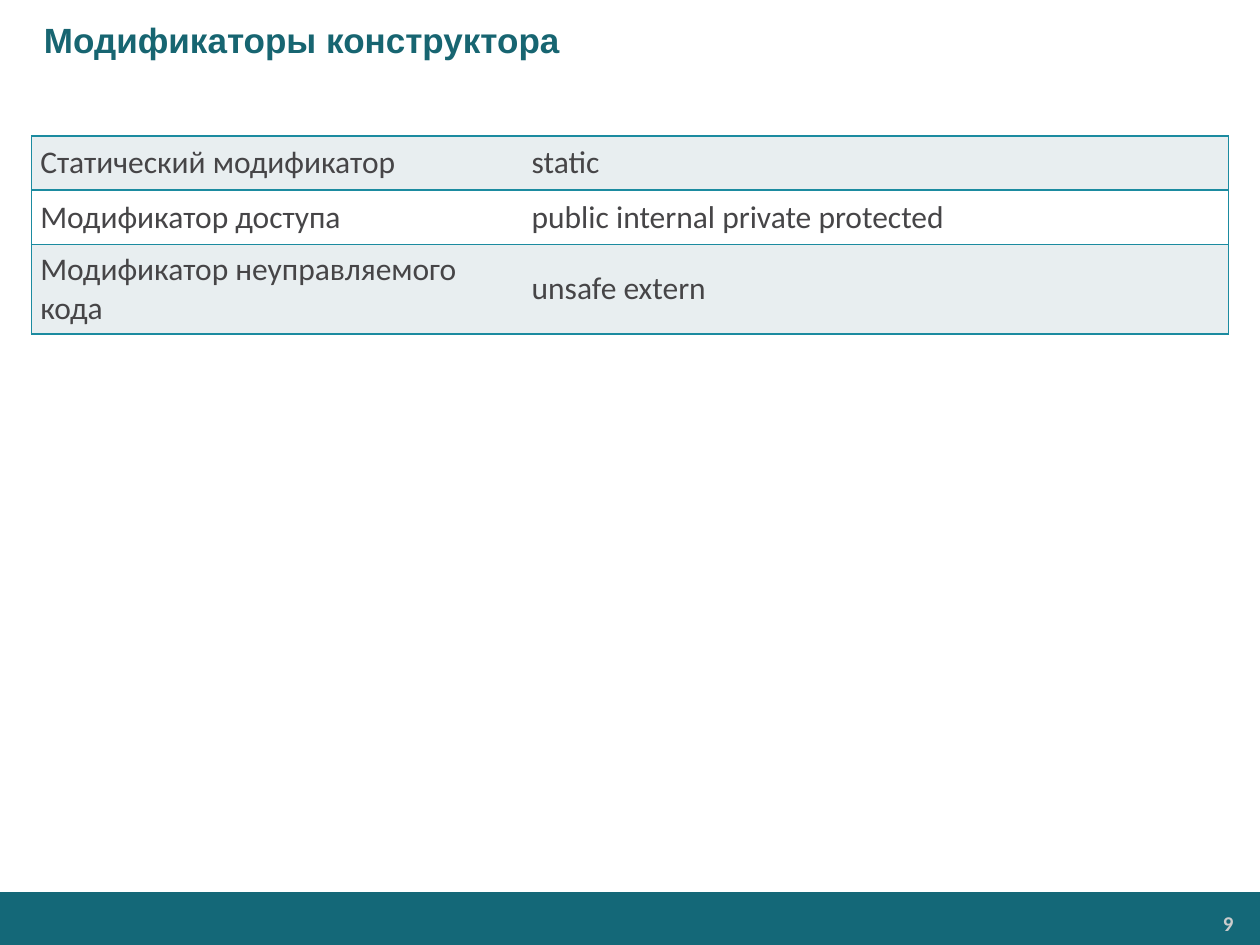
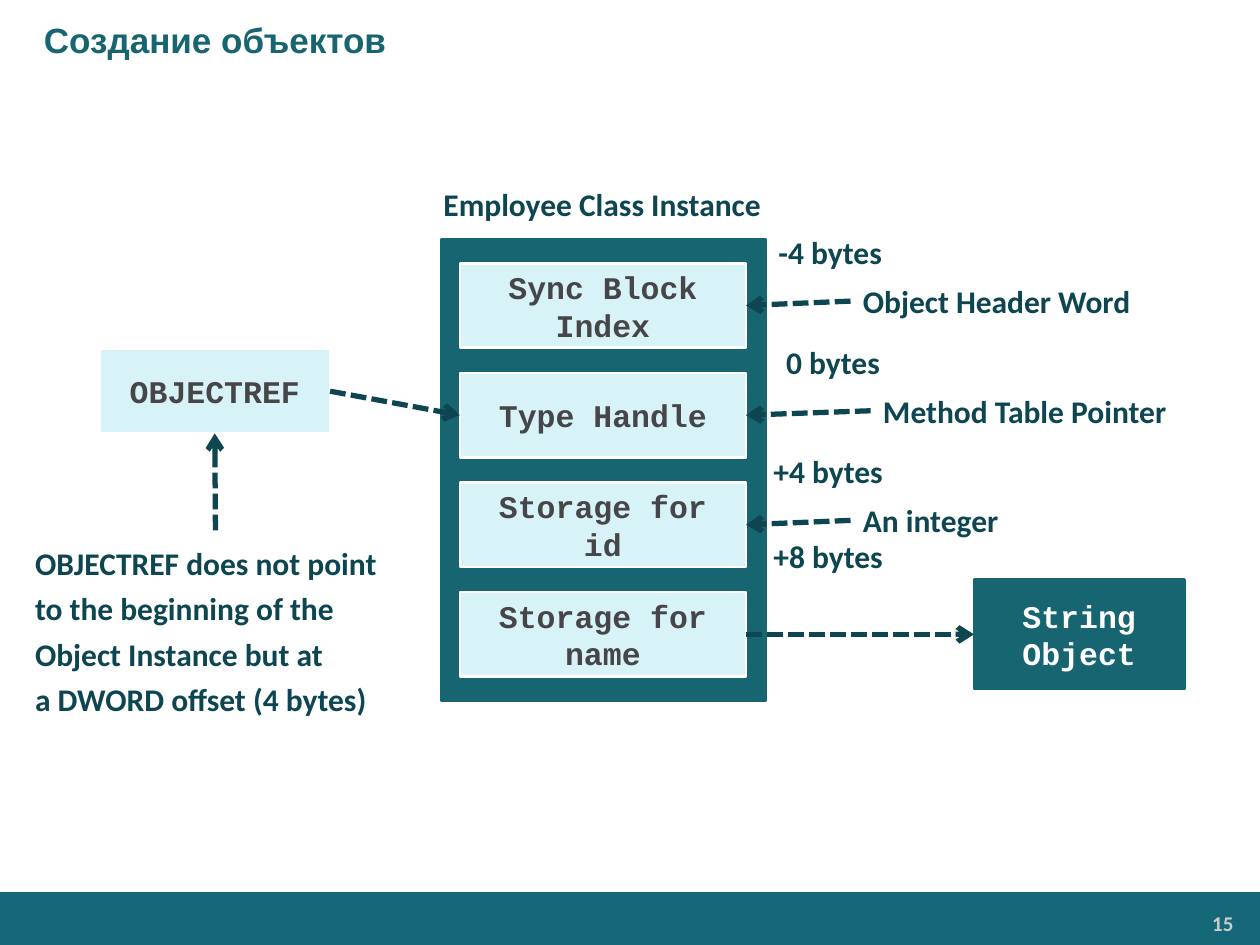
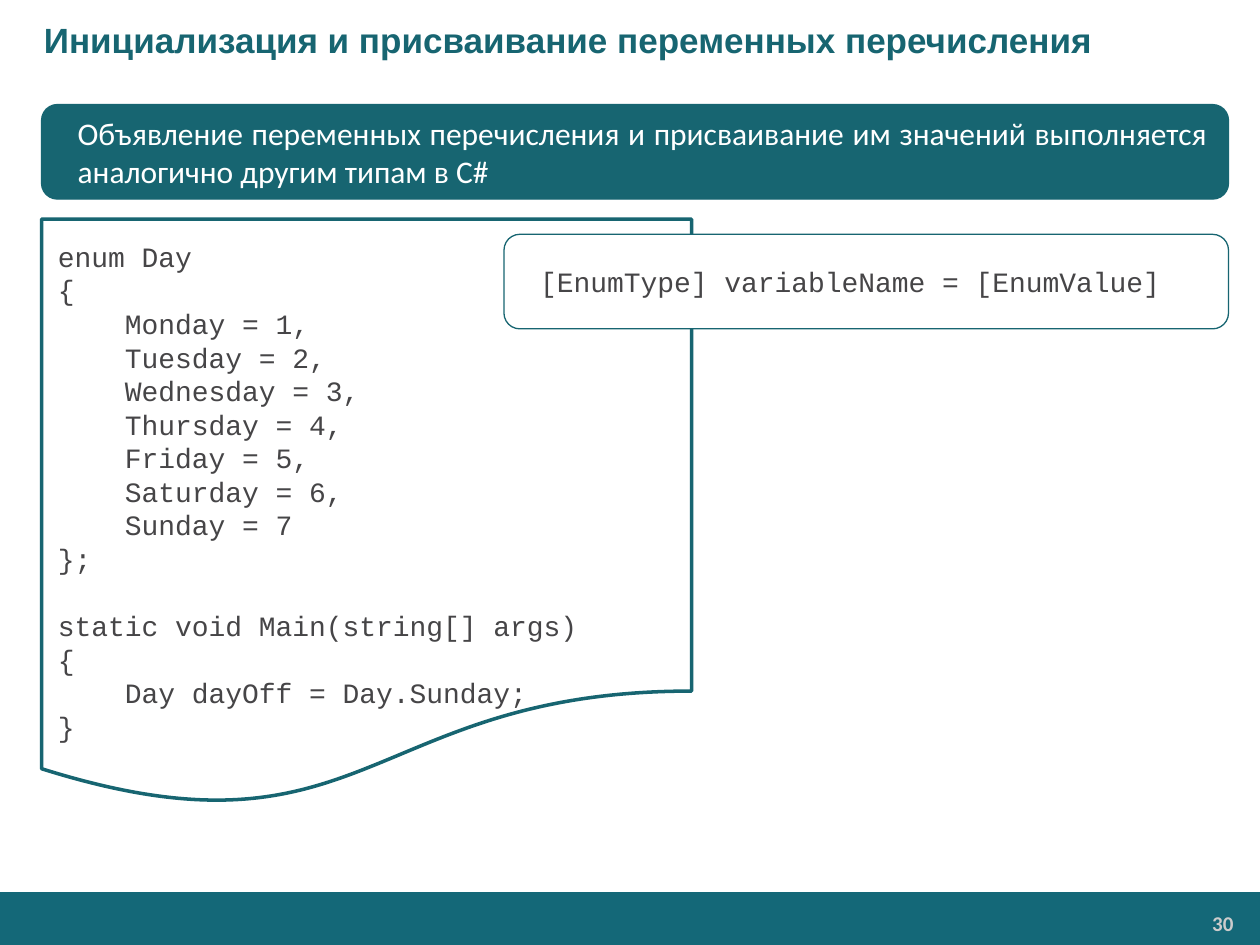
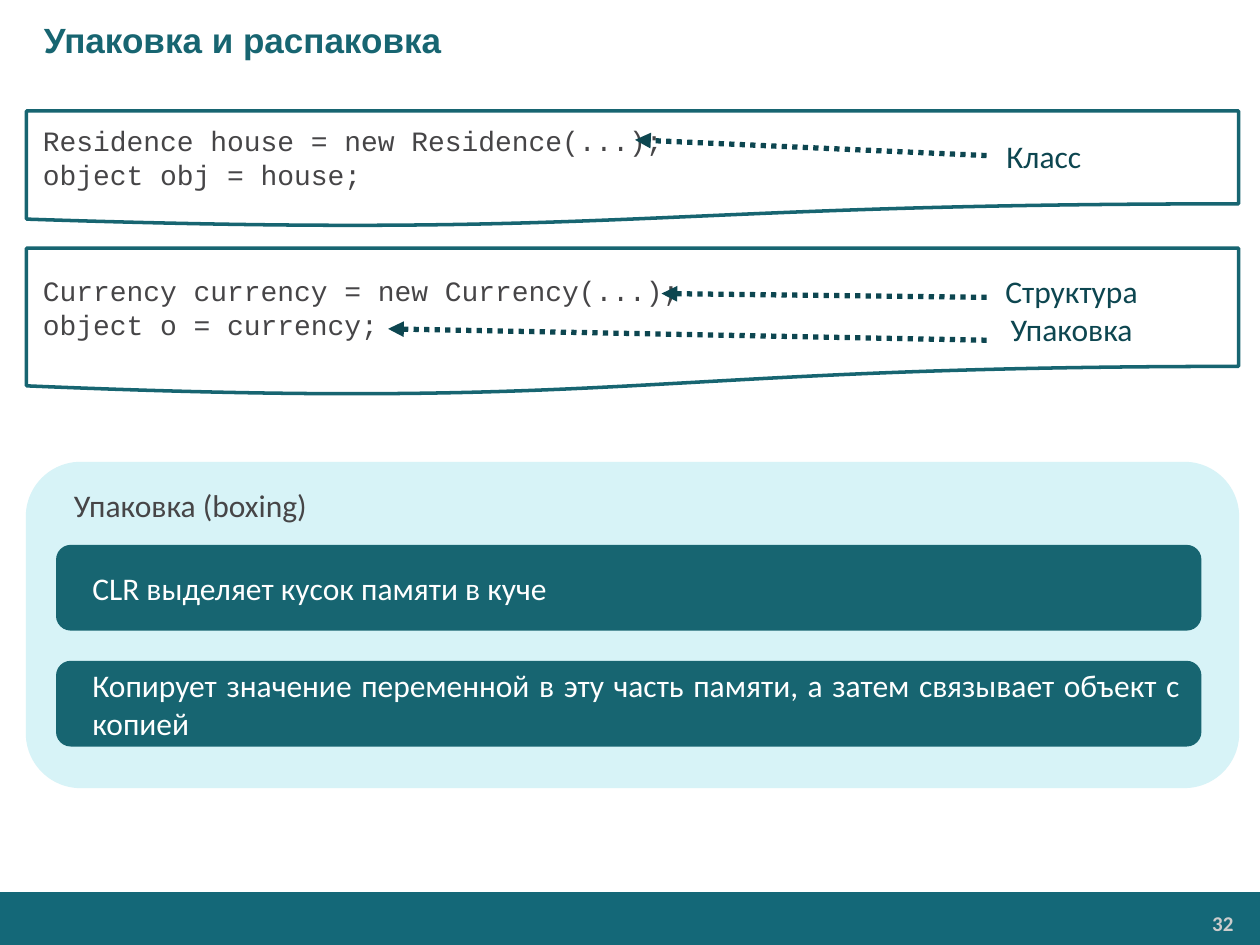
"""Build four lecture slides on constructors, objects, enumerations and boxing."""
import lxml.etree
import pptx
import pptx.dml.color
import pptx.enum.dml
import pptx.enum.shapes
import pptx.enum.text
import pptx.oxml.ns
import pptx.util

Inches = pptx.util.Inches
Pt = pptx.util.Pt
qn = pptx.oxml.ns.qn
ALIGN = pptx.enum.text.PP_ALIGN
ANCHOR = pptx.enum.text.MSO_ANCHOR
SHAPE = pptx.enum.shapes.MSO_SHAPE
DASH = pptx.enum.dml.MSO_LINE

COLORS = {
    "band": "146878",
    "teal": "176571",
    "dark": "0D4650",
    "pale": "D7F3F7",
    "white": "FFFFFF",
    "body": "464547",
    "number": "CCCCCC",
    "stripe": "E8EEF0",
    "rule": "1B8BA0",
}
SANS, HEADING, MONO = "Calibri", "Arial", "Courier New"
TOP, LEFT, BOTTOM, RIGHT = range(4)
ROOMY = (0.13, 0.06, 0.13, 0.06)
SNUG = (0.1, 0.05, 0.1, 0.05)
MONO_LEADING = 1.2


def rgb(name):
    return pptx.dml.color.RGBColor.from_string(COLORS[name])


def write(frame, text, size=18, font=SANS, color="body", bold=False, align=ALIGN.LEFT,
          anchor=ANCHOR.TOP, insets=SNUG, indent=0, leading=None, gaps=None, wrap=True):
    frame.word_wrap = wrap
    frame.vertical_anchor = anchor
    (frame.margin_left, frame.margin_top,
     frame.margin_right, frame.margin_bottom) = map(Inches, insets)
    if font == MONO:
        leading = Pt(size * MONO_LEADING)
    for index, line in enumerate(text.split("\n")):
        paragraph = frame.add_paragraph() if index else frame.paragraphs[0]
        paragraph.alignment = align
        if indent:
            properties = paragraph._p.get_or_add_pPr()
            properties.set("marL", str(Inches(indent)))
            properties.set("indent", "0")
        if leading:
            paragraph.line_spacing = leading
        if gaps and index in gaps:
            paragraph.space_before = Pt(gaps[index])
        run = paragraph.add_run()
        run.text = line
        run.font.name = font
        run.font.size = Pt(size)
        run.font.bold = bold
        run.font.color.rgb = rgb(color)


class Deck:
    """Hold the shared style and the slide being built."""

    def __init__(self):
        self.show = pptx.Presentation()
        self.show.slide_width = Inches(10)
        self.show.slide_height = Inches(7.5)
        self.slide = None

    def start(self, title, number):
        self.slide = self.show.slides.add_slide(self.show.slide_layouts[6])
        self.shape(SHAPE.RECTANGLE, (0, 7.08, 10, 0.42), "band")
        self.text((8.23, 7.19, 1.63, 0.28), str(number), size=12, color="number", bold=True,
                  align=ALIGN.RIGHT, insets=(0.07, 0.04, 0.07, 0.04))
        self.text((0, 0, 10, 0.63), title, size=20, font=HEADING, color="teal", bold=True,
                  anchor=ANCHOR.MIDDLE, indent=0.25)

    def text(self, place, text, **style):
        box = self.slide.shapes.add_textbox(*map(Inches, place))
        write(box.text_frame, text, **style)
        return box

    def label(self, place, text, **style):
        return self.text(place, text, color="dark", bold=True, wrap=False, **style)

    def shape(self, kind, place, fill, line=None, weight=0.75, text=None, **style):
        shape = self.slide.shapes.add_shape(kind, *map(Inches, place))
        shape.shadow.inherit = False
        shape.fill.solid()
        shape.fill.fore_color.rgb = rgb(fill)
        if line:
            shape.line.color.rgb = rgb(line)
            shape.line.width = Pt(weight)
        else:
            shape.line.fill.background()
        if text:
            write(shape.text_frame, text, **style)
        return shape

    def block(self, place, text, fill="pale", line="white", color="body"):
        return self.shape(SHAPE.RECTANGLE, place, fill, line, 1.5, text, font=MONO, bold=True,
                          color=color, align=ALIGN.CENTER, anchor=ANCHOR.MIDDLE)

    def card(self, place, text, fill="teal", line="teal", **style):
        style = {"color": "white", "anchor": ANCHOR.MIDDLE, "align": ALIGN.JUSTIFY,
                 "indent": 0.12, "insets": ROOMY, **style}
        return self.shape(SHAPE.ROUNDED_RECTANGLE, place, fill, line, text=text, **style)

    def code(self, place, text, **style):
        style = {"anchor": ANCHOR.MIDDLE, "insets": ROOMY, **style}
        return self.shape(SHAPE.FLOWCHART_DOCUMENT, place, "white", "teal", 2, text,
                          size=16, font=MONO, **style)

    def arrow(self, start, end, dash=DASH.SQUARE_DOT, head="arrow"):
        points = [(0, 0) if isinstance(stop[1], int) else tuple(map(Inches, stop))
                  for stop in (start, end)]
        line = self.slide.shapes.add_connector(
            pptx.enum.shapes.MSO_CONNECTOR.STRAIGHT, *points[0], *points[1])
        for stop, join in ((start, line.begin_connect), (end, line.end_connect)):
            if isinstance(stop[1], int):
                join(*stop)
        line.line.color.rgb = rgb("dark")
        line.line.width = Pt(3)
        line.line.dash_style = dash
        lxml.etree.SubElement(line.line._get_or_add_ln(), qn("a:tailEnd"), type=head)
        lxml.etree.SubElement(line._element.spPr, qn("a:effectLst"))

    def table(self, place, widths, heights, rows):
        grid = self.slide.shapes.add_table(
            len(rows), len(widths), *map(Inches, place)).table
        for column, width in zip(grid.columns, widths):
            column.width = Inches(width)
        for row, (height, entries) in enumerate(zip(heights, rows)):
            grid.rows[row].height = Inches(height)
            for column, entry in enumerate(entries):
                cell = grid.cell(row, column)
                write(cell.text_frame, entry)
                cell.vertical_anchor = ANCHOR.MIDDLE
                cell.margin_left = cell.margin_right = Inches(0.07)
                cell.margin_top = cell.margin_bottom = Inches(0.05)
                outer = "lnL" if column == 0 else "lnR"
                self.borders(cell, {outer, "lnT", "lnB"})
                cell.fill.solid()
                cell.fill.fore_color.rgb = rgb("white" if row % 2 else "stripe")

    def borders(self, cell, ruled):
        properties = cell._tc.get_or_add_tcPr()
        for side in ("lnL", "lnR", "lnT", "lnB"):
            edge = lxml.etree.SubElement(properties, qn("a:" + side), w=str(Pt(1)))
            if side in ruled:
                fill = lxml.etree.SubElement(edge, qn("a:solidFill"))
                lxml.etree.SubElement(fill, qn("a:srgbClr"), val=COLORS["rule"])
            else:
                lxml.etree.SubElement(edge, qn("a:noFill"))


def constructor_modifiers(deck):
    deck.start("Модификаторы конструктора", 9)
    deck.table((0.25, 1.08, 9.5, 1.57), (3.9, 5.6), (0.43, 0.43, 0.71), [
        ("Статический модификатор", "static"),
        ("Модификатор доступа", "public internal private protected"),
        ("Модификатор неуправляемого кода", "unsafe extern"),
    ])


def object_creation(deck):
    deck.start("Создание объектов", 15)
    deck.shape(SHAPE.RECTANGLE, (3.5, 1.9, 2.58, 3.66), "teal", "teal", 1.5)
    deck.label((3.38, 1.42, 2.8, 0.4), "Employee Class Instance", align=ALIGN.CENTER)
    names = ("Sync Block Index", "Type Handle", "Storage for id", "Storage for name")
    fields = [deck.block((3.65, 2.09 + 0.87 * index, 2.27, 0.67), name)
              for index, name in enumerate(names)]
    string_object = deck.block((7.73, 4.6, 1.67, 0.87), "String Object", "teal", "teal", "white")
    reference = deck.block((0.79, 2.77, 1.83, 0.67), "OBJECTREF")

    for offset, left, top, width in (("-4 bytes", 6.08, 1.8, 1.09), ("0 bytes", 6.14, 2.67, 1.01),
                                     ("+4 bytes", 6.04, 3.54, 1.14),
                                     ("+8 bytes", 6.04, 4.21, 1.14)):
        deck.label((left, top, width, 0.4), offset)

    meanings = (("Object Header Word", 6.75, 2.4), ("Method Table Pointer", 6.91, 2.47),
                ("An integer", 6.75, 1.28))
    for index, (meaning, left, width) in enumerate(meanings):
        caption = deck.label((left, 2.19 + 0.87 * index, width, 0.4), meaning)
        deck.arrow((caption, LEFT), (fields[index], RIGHT))

    note = deck.text((0.18, 4.21, 3.06, 1.56),
                     "OBJECTREF does not point\nto the beginning of the\n"
                     "Object Instance but at\na DWORD offset (4 bytes)",
                     color="dark", bold=True, leading=1.2)
    deck.arrow((note, TOP), (reference, BOTTOM))
    deck.arrow((reference, RIGHT), (fields[1], LEFT))
    deck.arrow((fields[3], RIGHT), (string_object, LEFT))


def enum_variables(deck):
    deck.start("Инициализация и присваивание переменных перечисления", 30)
    deck.card((0.33, 0.83, 9.42, 0.75),
              "Объявление переменных перечисления и присваивание им значений "
              "выполняется аналогично другим типам в C#")
    deck.code((0.33, 1.74, 5.16, 4.67), """enum Day
{
    Monday = 1,
    Tuesday = 2,
    Wednesday = 3,
    Thursday = 4,
    Friday = 5,
    Saturday = 6,
    Sunday = 7
};
static void Main(string[] args)
{
    Day dayOff = Day.Sunday;
}""", anchor=ANCHOR.TOP, insets=(0.13, 0.16, 0.13, 0.06), gaps={10: 16 * MONO_LEADING})
    deck.card((4, 1.86, 5.75, 0.75), "[EnumType] variableName = [EnumValue]",
              "white", size=16, font=MONO, color="body")


def boxing(deck):
    deck.start("Упаковка и распаковка", 32)
    deck.code((0.21, 0.88, 9.62, 0.92),
              "Residence house = new Residence(...);\nobject obj = house;")
    deck.code((0.21, 1.97, 9.62, 1.17),
              "Currency currency = new Currency(...);\nobject o = currency;")
    deck.card((0.21, 3.67, 9.62, 2.58), "Упаковка (boxing)", "pale", "pale",
              color="body", anchor=ANCHOR.TOP)
    steps = ("CLR выделяет кусок памяти в куче",
             "Копирует значение переменной в эту часть памяти, "
             "а затем связывает объект с копией")
    for index, step in enumerate(steps):
        deck.card((0.45, 4.33 + 0.92 * index, 9.08, 0.67), step)

    deck.card((7.67, 2.05, 1.67, 0.82), "Структура\nУпаковка", "white", None,
              color="dark", align=ALIGN.CENTER, indent=0)
    class_label = deck.card((7.83, 0.95, 1.67, 0.57), "Класс", "white", None,
                            color="dark", align=ALIGN.LEFT, indent=0)
    for start, end in (((class_label, LEFT), (5.04, 1.11)),
                       ((7.83, 2.36), (5.25, 2.33)),
                       ((7.83, 2.7), (3.08, 2.61))):
        deck.arrow(start, end, DASH.ROUND_DOT, "triangle")


def main():
    deck = Deck()
    for build in (constructor_modifiers, object_creation, enum_variables, boxing):
        build(deck)
    deck.show.save("out.pptx")


if __name__ == "__main__":
    main()
